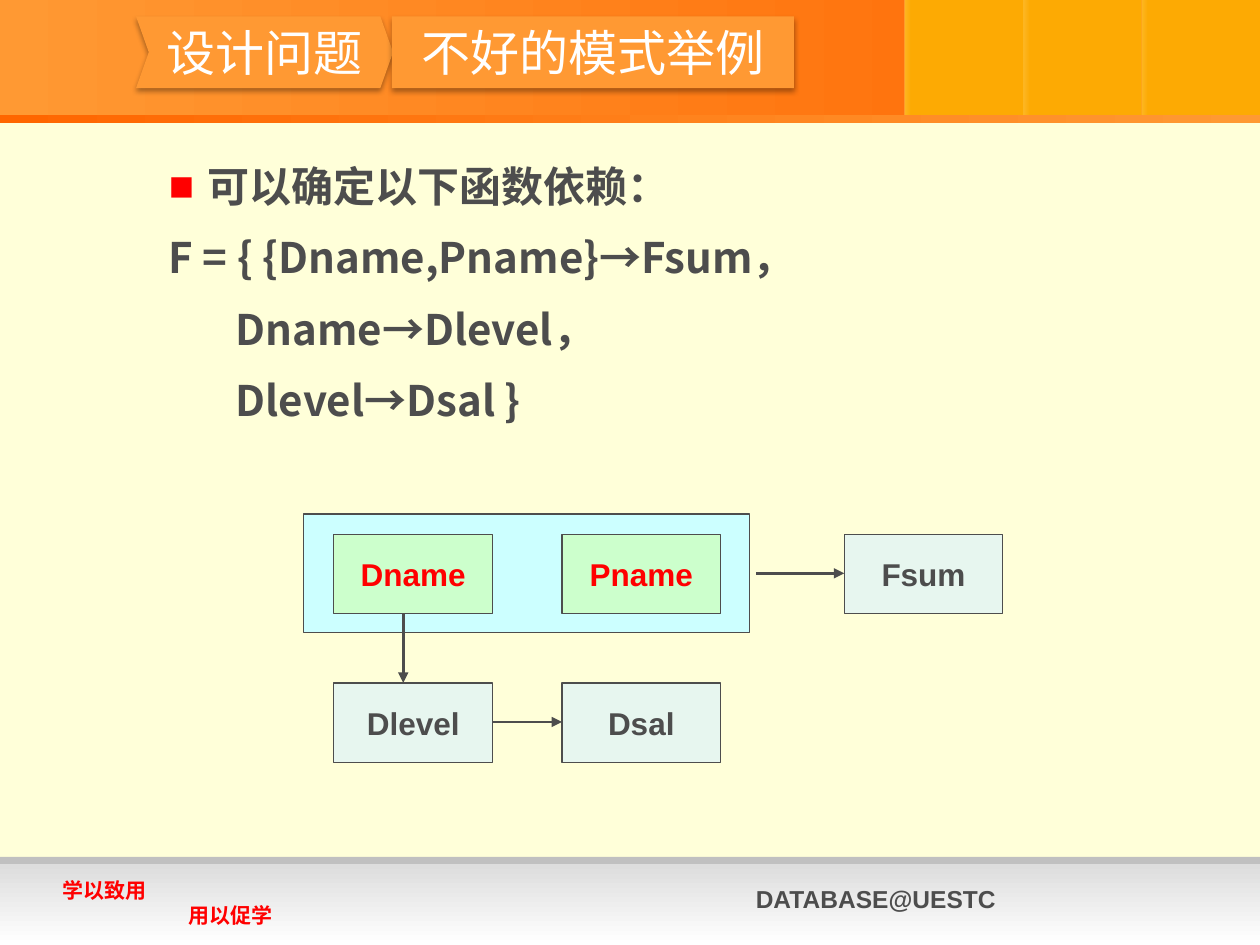
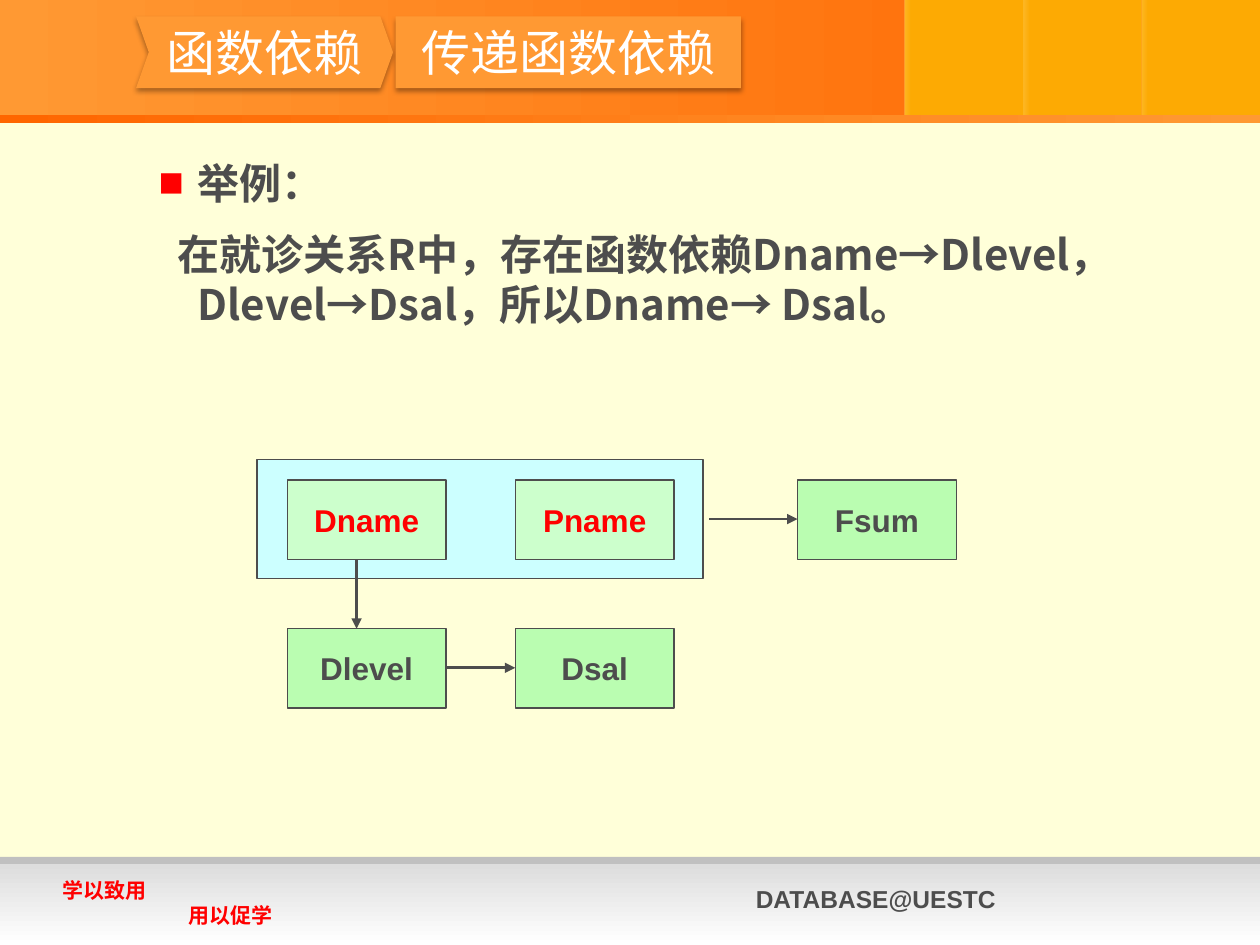
"""Build two slides on functional dependencies in a relational schema."""
from copy import deepcopy

from lxml.etree import SubElement
from pptx import Presentation
from pptx.dml.color import RGBColor
from pptx.enum.shapes import MSO_CONNECTOR, MSO_SHAPE
from pptx.enum.text import MSO_ANCHOR, MSO_AUTO_SIZE, PP_ALIGN
from pptx.oxml.ns import qn
from pptx.util import Pt

RECT = MSO_SHAPE.RECTANGLE
CHEVRON = MSO_SHAPE.CHEVRON
STRAIGHT = MSO_CONNECTOR.STRAIGHT
MIDDLE = MSO_ANCHOR.MIDDLE
CENTER = PP_ALIGN.CENTER
NO_FIT = MSO_AUTO_SIZE.NONE

SCALE = 9144
LATIN = "Arial"
HAN = "Noto Sans CJK SC"
COLORS = {
    "paper": "FFFFD9", "orange": "FF9933", "deep": "FF6600", "amber": "FDAA03",
    "silver": "C0C0C0", "mist": "DDDDDD", "white": "FFFFFF", "ink": "4D4D4D",
    "red": "FF0000", "black": "000000", "key": "CCFFFF", "part": "CCFFCC",
    "pale": "E7F6EF", "green": "BAFDB1",
}
NODE_W, NODE_H = 126, 63
COLUMN, ROW = 181, 118


def px(*lengths):
    return [length * SCALE for length in lengths]


def rgb(name):
    return RGBColor.from_string(COLORS[name])


def add_xml(parent, tag, **attributes):
    return SubElement(parent, qn(tag), {k: str(v) for k, v in attributes.items()})


class Deck:
    def __init__(self):
        self.prs = Presentation()
        self.prs.slide_width, self.prs.slide_height = px(1000, 750)
        self.slide = None

    def start(self):
        self.slide = self.prs.slides.add_slide(self.prs.slide_layouts[1])
        background = self.slide.background.fill
        background.solid()
        background.fore_color.rgb = rgb("paper")
        self.gradient((0, 0, 1000, 98), "orange", "deep")
        for left in (906, 812, 718):
            self.box((left, 0, 94, 92), "amber")
            self.gradient((left, 0, 5, 92), "paper", "amber", alphas=(18, 15))
        self.gradient((0, 91, 1000, 7), "deep", "orange")
        self.box((0, 680, 1000, 29), "silver")
        self.gradient((0, 686, 1000, 64), "mist", "white", angle=270)
        self.caption((590, 697, 345, 34), ["DATABASE@UESTC"], 14, "ink")
        self.caption((40, 692, 200, 50), ["学以致用", "用以促学"], 12, "red", step=100)

    def style(self, paragraph, size, color, font, bold=True):
        for run in paragraph.runs:
            run.font.size, run.font.bold, run.font.name = Pt(size), bold, font
            run.font.color.rgb = rgb(color)
            if font == HAN:
                add_xml(run._r.get_or_add_rPr(), "a:ea", typeface=font)

    def box(self, area, color, outlined=False):
        shape = self.slide.shapes.add_shape(RECT, *px(*area))
        shape.shadow.inherit = False
        shape.fill.solid()
        shape.fill.fore_color.rgb = rgb(color)
        if outlined:
            shape.line.color.rgb, shape.line.width = rgb("ink"), Pt(0.75)
        else:
            shape.line.fill.background()
        return shape

    def gradient(self, area, first, last, angle=0, alphas=()):
        shape = self.box(area, first)
        shape.fill.gradient()
        shape.fill.gradient_angle = angle
        for stop, color in zip(shape.fill.gradient_stops, (first, last)):
            stop.color.rgb = rgb(color)
        stops = shape._element.spPr.iter(qn("a:srgbClr"))
        for color, alpha in zip(list(stops), alphas):
            add_xml(color, "a:alpha", val=alpha * 1000)

    def caption(self, area, lines, size, color, step=0):
        frame = self.slide.shapes.add_textbox(*px(*area)).text_frame
        frame.word_wrap = True
        frame.text = "\n".join(lines)
        for number, paragraph in enumerate(frame.paragraphs):
            paragraph.line_spacing = Pt(size * 1.19)
            paragraph._p.get_or_add_pPr().set("marL", str(number * step * SCALE))
            self.style(paragraph, size, color, LATIN)

    def headings(self, section, topic, topic_left, topic_width):
        tag = self.slide.shapes.add_shape(CHEVRON, *px(108, 13, 204, 57))
        tag.adjustments[0] = 0.178
        title = self.slide.shapes.title
        title.left, title.top, title.width, title.height = px(topic_left, 13, topic_width, 57)
        title._element.spPr.insert(1, deepcopy(tag._element.spPr.prstGeom))
        self.slide.shapes._spTree.append(title._element)
        for heading, words in ((tag, section), (title, topic)):
            self.banner(heading, words)

    def banner(self, heading, words):
        heading.fill.solid()
        heading.fill.fore_color.rgb = rgb("orange")
        heading.line.fill.background()
        heading.shadow.inherit = False
        effects = heading._element.spPr.find(qn("a:effectLst"))
        shadow = add_xml(effects, "a:outerShdw", blurRad=Pt(3.1), dist=Pt(1.8), dir=5400000)
        tint = add_xml(shadow, "a:srgbClr", val=COLORS["black"])
        add_xml(tint, "a:alpha", val=35000)
        frame = heading.text_frame
        frame.text = words
        frame.auto_size, frame.word_wrap = NO_FIT, False
        frame.vertical_anchor = MIDDLE
        frame.margin_left = frame.margin_right = frame.margin_top = frame.margin_bottom = 0
        frame.paragraphs[0].alignment = CENTER
        self.style(frame.paragraphs[0], 28, "white", HAN, bold=False)

    def body(self, area, lines):
        holder = self.slide.placeholders[1]
        holder.left, holder.top, holder.width, holder.height = px(*area)
        self.slide.shapes._spTree.append(holder._element)
        frame = holder.text_frame
        frame.text = "\n".join(words for words, _, _ in lines)
        frame.auto_size = NO_FIT
        for number, (paragraph, line) in enumerate(zip(frame.paragraphs, lines)):
            _, margin, indent = line
            properties = paragraph._p.get_or_add_pPr()
            properties.set("marL", str(margin * SCALE))
            properties.set("indent", str(indent * SCALE))
            if number:
                add_xml(properties, "a:buNone")
            else:
                tint = add_xml(properties, "a:buClr")
                add_xml(tint, "a:srgbClr", val=COLORS["red"])
                add_xml(properties, "a:buFont", typeface=LATIN)
                add_xml(properties, "a:buChar", char="■")
            paragraph.space_before = Pt(12 if number else 0)
            paragraph.line_spacing = Pt(28.6)
            self.style(paragraph, 24, "ink", HAN)

    def node(self, left, top, attribute, fill, color):
        shape = self.box((left, top, NODE_W, NODE_H), fill, outlined=True)
        frame = shape.text_frame
        frame.text = attribute
        frame.word_wrap = False
        frame.vertical_anchor = MIDDLE
        frame.paragraphs[0].alignment = CENTER
        self.style(frame.paragraphs[0], 18, color, LATIN)

    def arrow(self, *ends):
        connector = self.slide.shapes.add_connector(STRAIGHT, *px(*ends))
        connector.line.color.rgb, connector.line.width = rgb("ink"), Pt(1.5)
        add_xml(connector.line._get_or_add_ln(), "a:tailEnd", type="triangle")
        add_xml(connector._element.spPr, "a:effectLst")

    def dependencies(self, left, top, dependent_fill):
        self.box((left, top, 354, 94), "key", outlined=True)
        x, y = left + 24, top + 16
        fsum_x, lower_y = x + 405, y + ROW
        for column, attribute in enumerate(("Dname", "Pname")):
            self.node(x + column * COLUMN, y, attribute, "part", "red")
        for column, attribute in enumerate(("Dlevel", "Dsal")):
            self.node(x + column * COLUMN, lower_y, attribute, dependent_fill, "ink")
        self.node(fsum_x, y, "Fsum", dependent_fill, "ink")
        self.arrow(x + 55, y + NODE_H, x + 55, lower_y)
        self.arrow(x + NODE_W, lower_y + 31, x + COLUMN, lower_y + 31)
        self.arrow(left + 359, y + 31, fsum_x, y + 31)


def main():
    deck = Deck()

    deck.start()
    deck.body((74, 123, 859, 280), [
        ("可以确定以下函数依赖：", 81, -31),
        ("F = { {Dname,Pname}→Fsum，", 81, -31),
        ("Dname→Dlevel，", 103, 0),
        ("Dlevel→Dsal }", 103, 0),
    ])
    deck.headings("设计问题", "不好的模式举例", 311, 319)
    deck.dependencies(241, 408, "pale")

    deck.start()
    deck.body((66, 120, 904, 240), [
        ("举例：", 81, -31),
        ("在就诊关系R中，存在函数依赖Dname→Dlevel，Dlevel→Dsal，所以Dname→ Dsal。", 81, -16),
    ])
    deck.headings("函数依赖", "传递函数依赖", 314, 274)
    deck.dependencies(204, 365, "green")

    deck.prs.save("out.pptx")


if __name__ == "__main__":
    main()
